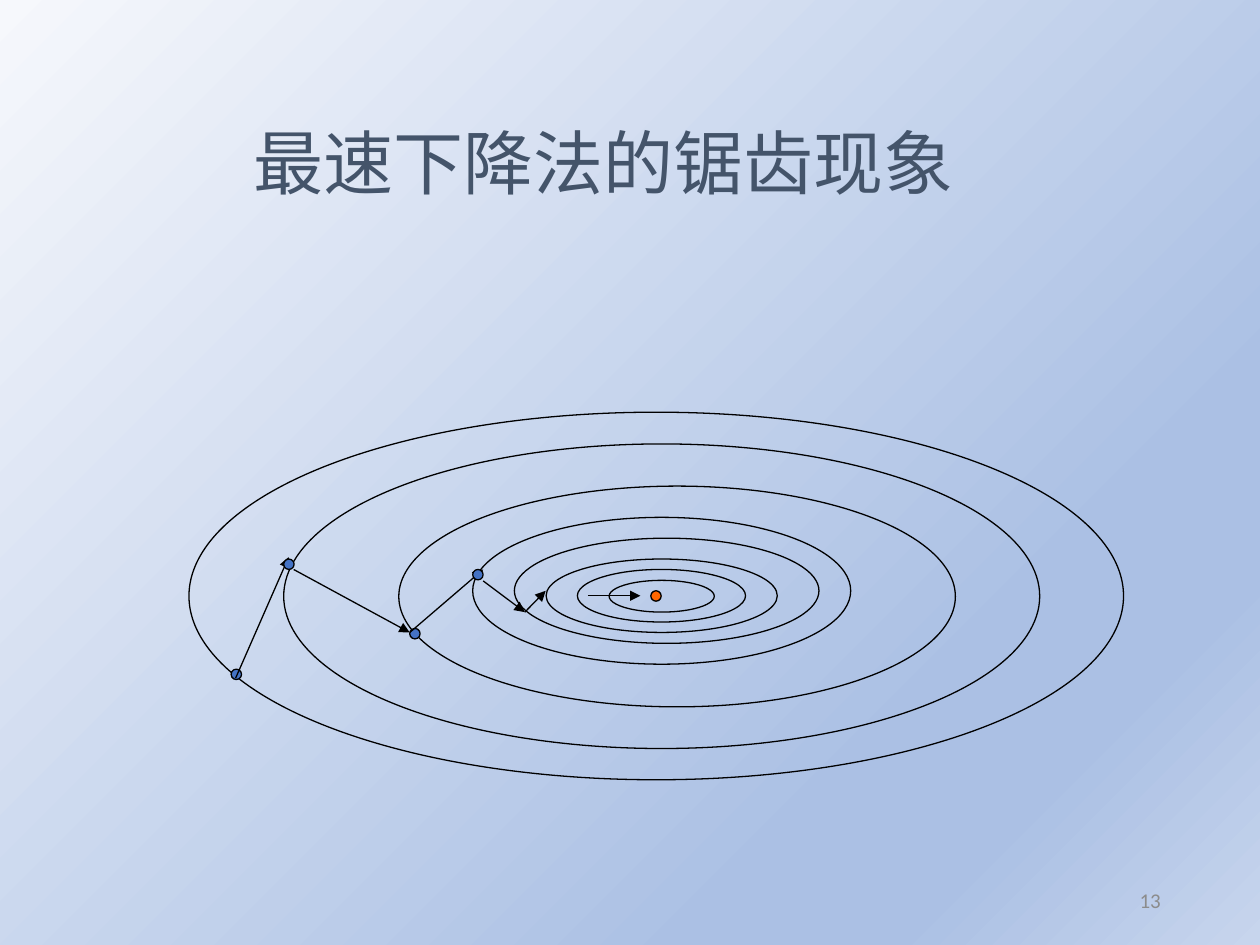
from dataclasses import dataclass
from typing import NamedTuple, Optional

from lxml.etree import SubElement
from pptx import Presentation
from pptx.dml.color import RGBColor as RGB
from pptx.enum.shapes import MSO_CONNECTOR as CONN, MSO_SHAPE as SHAPE
from pptx.enum.text import MSO_ANCHOR as ANCHOR, PP_ALIGN as ALIGN
from pptx.oxml.ns import qn
from pptx.util import Cm, Pt


@dataclass(frozen=True)
class Theme:
    font: str = "Calibri"
    title: str = "44546A"
    number: str = "8C8C8C"
    line: str = "000000"
    iterate: str = "4472C4"
    minimum: str = "FF6600"
    title_pt: int = 40
    number_pt: int = 12
    line_pt: float = 0.75
    gradient: tuple = ((0, "F6F8FC"), (74, "ABC0E4"), (83, "ABC0E4"), (100, "C7D5ED"))


class Ellipse(NamedTuple):
    left: float
    top: float
    width: float
    height: float
    fill: Optional[str] = None


class Step(NamedTuple):
    x1: float
    y1: float
    x2: float
    y2: float


class Label(NamedTuple):
    text: str
    left: float
    top: float
    width: float
    height: float
    size: int
    color: str
    align: ALIGN = ALIGN.LEFT
    anchor: ANCHOR = ANCHOR.TOP


THEME = Theme()
DOT = 0.21


def dot(left: float, top: float, fill: str = THEME.iterate) -> Ellipse:
    return Ellipse(left, top, DOT, DOT, fill)


CONTOURS = (
    Ellipse(12.28, 11.7, 2.12, 0.64),
    Ellipse(11.64, 11.48, 3.39, 1.06),
    Ellipse(11.01, 11.27, 4.66, 1.48),
    Ellipse(10.37, 10.85, 6.14, 2.12),
    Ellipse(9.53, 10.43, 7.62, 2.96),
    Ellipse(8.04, 9.8, 11.22, 4.45),
    Ellipse(5.72, 8.95, 15.24, 6.14),
    Ellipse(3.81, 8.31, 18.84, 7.41),
)
# Back to front: iterates and the steps between them
DESCENT = (
    dot(13.12, 11.91, THEME.minimum),
    dot(4.66, 13.49),
    Step(4.75, 13.67, 5.82, 11.23),
    Step(5.92, 11.48, 8.26, 12.75),
    dot(5.72, 11.27),
    dot(8.26, 12.67),
    Step(8.26, 12.75, 9.74, 11.48),
    dot(9.53, 11.48),
    Step(9.74, 11.71, 10.58, 12.34),
    Step(10.58, 12.34, 11, 11.91),
    Step(11.85, 12.01, 12.91, 12.01),
)
LABELS = (
    Label("最速下降法的锯齿现象", 4.87, 2.29, 14.82, 1.96, THEME.title_pt, THEME.title),
    Label("13", 17.93, 17.65, 5.72, 1.01, THEME.number_pt, THEME.number,
          ALIGN.RIGHT, ANCHOR.MIDDLE),
)


def paint_background(s) -> None:
    """Give the slide a four-stop gradient from top left to bottom right."""
    fill = s.background.fill
    fill.gradient()
    fill.gradient_angle = 315
    stops = next(s.element.iter(qn("a:gsLst")))
    for old in list(stops):
        stops.remove(old)
    for percent, color in THEME.gradient:
        stop = SubElement(stops, qn("a:gs"), pos=str(percent * 1000))
        SubElement(stop, qn("a:srgbClr"), val=color)


def style_line(line) -> None:
    line.color.rgb = RGB.from_string(THEME.line)
    line.width = Pt(THEME.line_pt)


def draw_ellipse(s, e: Ellipse) -> None:
    sp = s.shapes.add_shape(SHAPE.OVAL, Cm(e.left), Cm(e.top), Cm(e.width), Cm(e.height))
    sp.shadow.inherit = False
    if e.fill:
        sp.fill.solid()
        sp.fill.fore_color.rgb = RGB.from_string(e.fill)
    else:
        sp.fill.background()
    style_line(sp.line)


def draw_step(s, step: Step) -> None:
    cx = s.shapes.add_connector(CONN.STRAIGHT, *(Cm(v) for v in step))
    style_line(cx.line)
    sp_pr = cx.element.find(qn("p:spPr"))
    SubElement(sp_pr.find(qn("a:ln")), qn("a:tailEnd"), type="triangle")
    SubElement(sp_pr, qn("a:effectLst"))


def draw_label(s, label: Label) -> None:
    tb = s.shapes.add_textbox(Cm(label.left), Cm(label.top), Cm(label.width), Cm(label.height))
    tf = tb.text_frame
    tf.word_wrap = True
    tf.vertical_anchor = label.anchor
    tf.text = label.text
    p = tf.paragraphs[0]
    p.alignment = label.align
    font = p.runs[0].font
    font.name = THEME.font
    font.size = Pt(label.size)
    font.color.rgb = RGB.from_string(label.color)


def main() -> None:
    prs = Presentation()
    prs.slide_width, prs.slide_height = Cm(25.4), Cm(19.05)
    s = prs.slides.add_slide(prs.slide_layouts[6])
    paint_background(s)
    for contour in CONTOURS:
        draw_ellipse(s, contour)
    for item in DESCENT:
        if isinstance(item, Step):
            draw_step(s, item)
        else:
            draw_ellipse(s, item)
    for label in LABELS:
        draw_label(s, label)
    prs.save("out.pptx")


if __name__ == "__main__":
    main()
